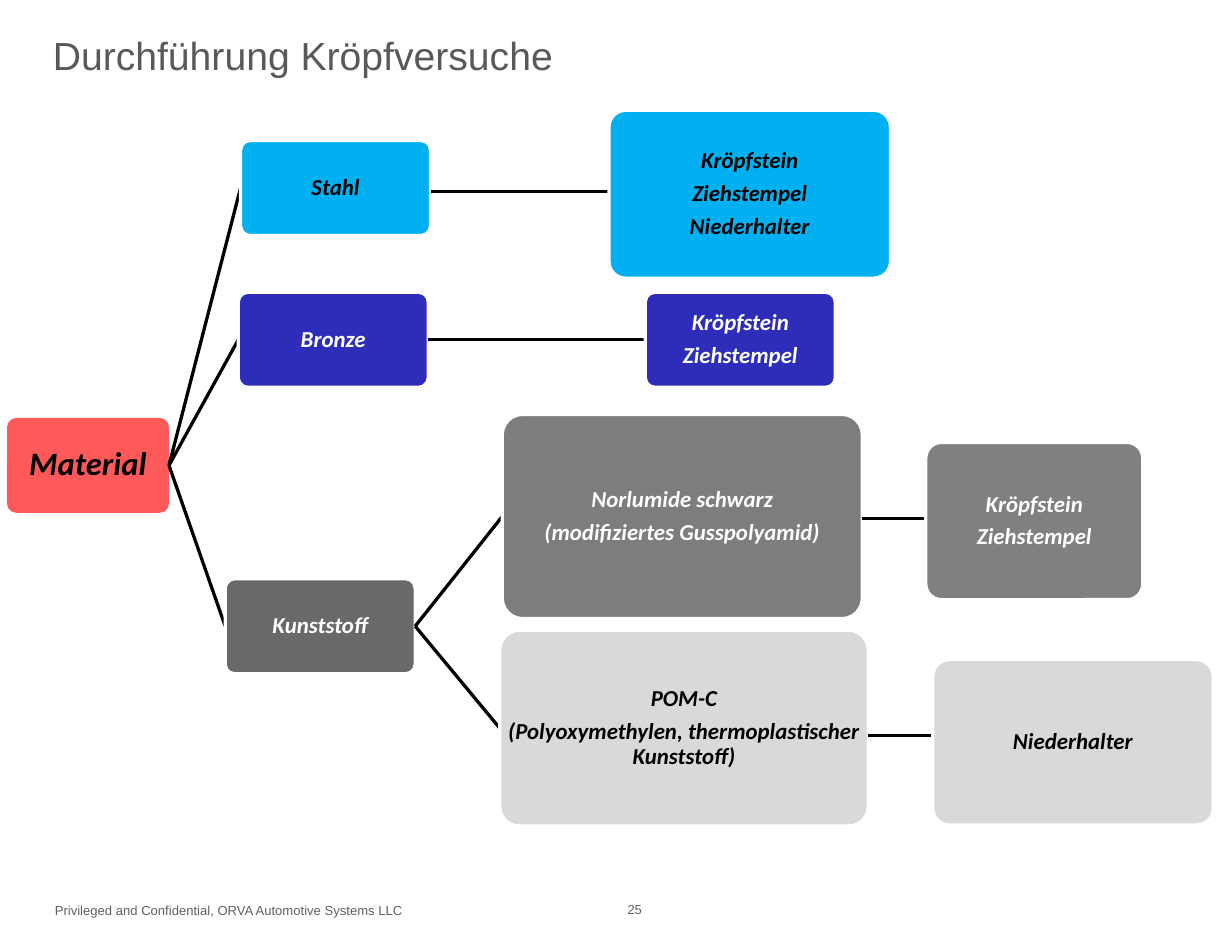
from lxml.etree import SubElement
from pptx import Presentation
from pptx.dml.color import RGBColor
from pptx.enum.shapes import MSO_CONNECTOR, MSO_SHAPE
from pptx.enum.text import MSO_ANCHOR, PP_ALIGN
from pptx.oxml.ns import qn
from pptx.util import Pt

THEME = {
    "title": ("Arial", 24, "595959"),
    "footer": ("Arial", 8, "606060"),
    "node_font": "Calibri", "root_size": 20, "node_size": 14,
    "line": "000000", "outline": "FFFFFF", "line_width": 2,
    # node styles: fill, opacity in percent, text colour
    "red": ("FF0000", 65, "000000"),
    "cyan": ("00B0F0", 100, "000000"),
    "blue": ("2D2DB9", 100, "FFFFFF"),
    "dark": ("404040", 78, "FFFFFF"),
    "black": ("000000", 51, "FFFFFF"),
    "grey": ("808080", 100, "FFFFFF"),
    "light": ("D9D9D9", 100, "000000"),
}

# text, font role, (left, top, width, height), anchor
LABELS = [
    ("Privileged and Confidential, ORVA Automotive Systems LLC", "footer",
     (26.6, 550, 309.6, 18), MSO_ANCHOR.TOP),
    ("25", "footer", (378, 549.4, 36, 18.7), MSO_ANCHOR.TOP),
    ("Durchführung Kröpfversuche", "title", (24.5, 0, 610.6, 67), MSO_ANCHOR.MIDDLE),
]

NODE = (116.6, 58.3)  # usual node size

# lines of text, style, (left, top), (width, height), children
TREE = (["Material"], "red", (4.3, 256.3), (99.4, 58.3), [
    (["Stahl"], "cyan", (147.6, 86.2), NODE, [
        (["Kröpfstein", "Ziehstempel", "Niederhalter"], "cyan",
         (373.7, 67.7), (172.8, 103), []),
    ]),
    (["Bronze"], "blue", (146.2, 179.3), NODE, [
        (["Kröpfstein", "Ziehstempel"], "blue", (396, 179.3), NODE, []),
    ]),
    (["Kunststoff"], "dark", (138.2, 355), NODE, [
        (["Norlumide schwarz", "(modifiziertes Gusspolyamid)"], "black",
         (308.2, 254.2), (221, 125.3), [
            (["Kröpfstein", "Ziehstempel"], "grey", (568.1, 271.4), (133.2, 96.5), []),
         ]),
        (["POM-C", "(Polyoxymethylen, thermoplastischer Kunststoff)"], "light",
         (306.7, 386.6), (226.1, 120.2), [
            (["Niederhalter"], "light", (572.4, 404.6), (172.1, 101.5), []),
         ]),
    ]),
])


def rgb(code):
    return RGBColor.from_string(code)


def add_run(p, text, name, size, color, strong=False):
    r = p.add_run()
    r.text = text
    r.font.name, r.font.size = name, Pt(size)
    r.font.bold = r.font.italic = strong
    r.font.color.rgb = rgb(color)


def add_label(slide, text, role, box, anchor):
    tf = slide.shapes.add_textbox(*map(Pt, box)).text_frame
    tf.word_wrap = True
    tf.vertical_anchor = anchor
    if role == "title":
        tf.margin_left = tf.margin_right = Pt(7.9)
    add_run(tf.paragraphs[0], text, *THEME[role])


def add_link(slide, x1, y1, x2, y2):
    if abs(y2 - y1) < 12:  # nearly level links run flat
        y1 = y2 = (y1 + y2) / 2
    link = slide.shapes.add_connector(MSO_CONNECTOR.STRAIGHT, *map(Pt, (x1, y1, x2, y2)))
    link.line.color.rgb = rgb(THEME["line"])
    link.line.width = Pt(THEME["line_width"])
    SubElement(link._element.spPr, qn("a:effectLst"))


def add_box(slide, lines, style, pos, dims, is_root):
    fill, opacity, color = THEME[style]
    sp = slide.shapes.add_shape(MSO_SHAPE.ROUNDED_RECTANGLE, *map(Pt, pos + dims))
    sp.adjustments[0] = 0.1
    sp.shadow.inherit = False
    sp.fill.solid()
    sp.fill.fore_color.rgb = rgb(fill)
    if opacity < 100:
        clr = sp._element.spPr.find(qn("a:solidFill"))[0]
        SubElement(clr, qn("a:alpha"), val=str(opacity * 1000))
    if is_root:
        sp.line.fill.background()
    else:
        sp.line.color.rgb = rgb(THEME["outline"])
        sp.line.width = Pt(THEME["line_width"])

    tf = sp.text_frame
    tf.word_wrap = True
    tf.vertical_anchor = MSO_ANCHOR.MIDDLE
    tf.margin_left = tf.margin_right = tf.margin_top = tf.margin_bottom = Pt(0.7)
    size = THEME["root_size" if is_root else "node_size"]
    for i, text in enumerate(lines):
        p = tf.paragraphs[0] if i == 0 else tf.add_paragraph()
        p.alignment = PP_ALIGN.CENTER
        p.line_spacing = 0.9
        p.space_after = Pt(0.35 * size)
        add_run(p, text, THEME["node_font"], size, color, strong=True)


def add_node(slide, node, start=None):
    """Draw the link from the parent, the box, then all children."""
    lines, style, (x, y), (w, h), children = node
    middle = y + h / 2
    if start:
        add_link(slide, *start, x, middle)
    add_box(slide, lines, style, (x, y), (w, h), start is None)
    for child in children:
        add_node(slide, child, (x + w, middle))


def main():
    prs = Presentation()
    prs.slide_width, prs.slide_height = Pt(756), Pt(576)
    slide = prs.slides.add_slide(prs.slide_layouts[6])
    # Title and footer
    for label in LABELS:
        add_label(slide, *label)
    # Material tree
    add_node(slide, TREE)
    prs.save("out.pptx")


if __name__ == "__main__":
    main()
